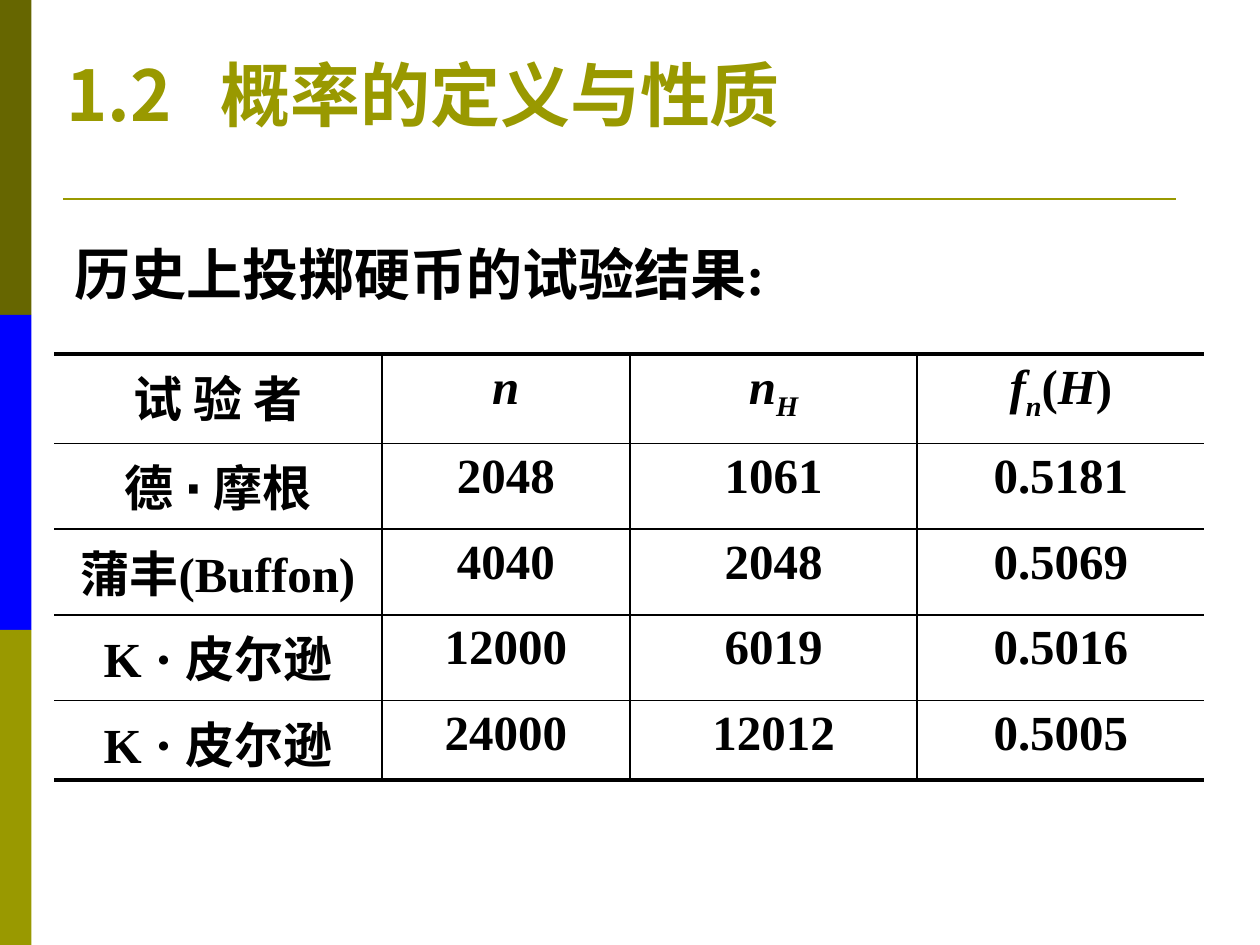
"""Build the slide on the historical coin-tossing experiments."""
from dataclasses import dataclass

from lxml.etree import SubElement
from pptx import Presentation
from pptx.dml.color import RGBColor as RGB
from pptx.enum.shapes import MSO_CONNECTOR as Connector, MSO_SHAPE as Shape
from pptx.enum.text import MSO_ANCHOR as Anchor, PP_ALIGN as Align
from pptx.oxml import parse_xml
from pptx.oxml.ns import nsdecls, qn
from pptx.util import Inches, Pt


@dataclass(frozen=True)
class Theme:
    olive: str = "999900"
    dark_olive: str = "666600"
    blue: str = "0000FF"
    ink: str = "000000"
    serif: str = "Times New Roman"
    cjk: str = "Noto Sans CJK SC"
    title: int = 40
    lead: int = 32
    body: int = 28
    thick: float = 2.25
    thin: float = 1


THEME = Theme()
TITLE = "1.2\t概率的定义与性质"
LEAD = "历史上投掷硬币的试验结果:"
ITALIC, SUB = {"italic": True}, {"italic": True, "sub": True}
HEADER = [
    [("试 验 者", {})],
    [("n", ITALIC)],
    [("n", ITALIC), ("H", SUB)],
    [("f", ITALIC), ("n", SUB), ("(", {}), ("H", ITALIC), (")", {})],
]
TRIALS = [
    ("德 ⋅ 摩根", "2048", "1061", "0.5181"),
    ("蒲丰(Buffon)", "4040", "2048", "0.5069"),
    ("K ⋅ 皮尔逊", "12000", "6019", "0.5016"),
    ("K ⋅ 皮尔逊", "24000", "12012", "0.5005"),
]
COLUMN_WIDTHS = [2.6, 1.97, 2.28, 2.28]
ROW_HEIGHTS = [0.71, 0.68, 0.68, 0.68, 0.63]
STRIPES = [THEME.dark_olive, THEME.blue, THEME.olive]


def add_run(paragraph, text, size, color=THEME.ink, latin=THEME.serif, italic=False, sub=False):
    run = paragraph.add_run()
    run.text = text
    font = run.font
    font.size, font.bold, font.italic, font.name = Pt(size), True, italic, latin
    font.color.rgb = RGB.from_string(color)
    properties = run._r.get_or_add_rPr()
    SubElement(properties, qn("a:ea")).set("typeface", THEME.cjk)
    if sub:
        properties.set("baseline", "-25000")


def place(box, left, top, width, height):
    box.left, box.top, box.width, box.height = map(Inches, (left, top, width, height))
    frame = box.text_frame
    frame.word_wrap, frame.vertical_anchor = True, Anchor.TOP
    paragraph = frame.paragraphs[0]
    paragraph.alignment = Align.LEFT
    return paragraph


def set_borders(cell, widths):
    properties = cell._tc.get_or_add_tcPr()
    for position, (side, width) in enumerate(zip("LRTB", widths)):
        paint = f'<a:solidFill><a:srgbClr val="{THEME.ink}"/></a:solidFill>' if width else "<a:noFill/>"
        properties.insert(position, parse_xml(
            f'<a:ln{side} {nsdecls("a")} w="{Pt(width)}">{paint}</a:ln{side}>'))


def add_decoration(slide):
    stripe_height = 7.5 / len(STRIPES)
    for index, color in enumerate(STRIPES):
        stripe = slide.shapes.add_shape(
            Shape.RECTANGLE, 0, Inches(index * stripe_height), Inches(0.25), Inches(stripe_height))
        stripe.shadow.inherit = False
        stripe.fill.solid()
        stripe.fill.fore_color.rgb = RGB.from_string(color)
        stripe.line.fill.background()
    rule = slide.shapes.add_connector(
        Connector.STRAIGHT, Inches(0.5), Inches(1.58), Inches(9.33), Inches(1.58))
    rule.line.color.rgb = RGB.from_string(THEME.olive)
    rule.line.width = Pt(1.5)
    SubElement(rule._element.spPr, qn("a:effectLst"))


def add_title(slide):
    heading = place(slide.shapes.title, 0.43, 0.36, 6.62, 0.77)
    tabs = SubElement(heading._p.get_or_add_pPr(), qn("a:tabLst"))
    SubElement(tabs, qn("a:tab"), pos=str(Inches(1.22)), algn="l")
    add_run(heading, TITLE, THEME.title, THEME.olive, THEME.cjk)


def add_results(slide):
    rows = [HEADER] + [[[(value, {})] for value in trial] for trial in TRIALS]
    last_row, last_column = len(rows) - 1, len(COLUMN_WIDTHS) - 1
    results = slide.shapes.add_table(
        len(rows), len(COLUMN_WIDTHS), Inches(0.43), Inches(2.81),
        Inches(sum(COLUMN_WIDTHS)), Inches(sum(ROW_HEIGHTS))).table
    results.first_row = results.horz_banding = False
    for column, width in zip(results.columns, COLUMN_WIDTHS):
        column.width = Inches(width)
    for r, (row, height) in enumerate(zip(rows, ROW_HEIGHTS)):
        results.rows[r].height = Inches(height)
        for c, runs in enumerate(row):
            cell = results.cell(r, c)
            cell.fill.background()
            cell.margin_bottom = Inches(0.01)
            set_borders(cell, (
                THEME.thin if c else 0,
                THEME.thin if c < last_column else 0,
                THEME.thin if r else THEME.thick,
                THEME.thin if r < last_row else THEME.thick))
            paragraph = cell.text_frame.paragraphs[0]
            paragraph.alignment = Align.CENTER
            for text, style in runs:
                add_run(paragraph, text, THEME.body, **style)


def main():
    deck = Presentation()
    deck.slide_width, deck.slide_height = Inches(10), Inches(7.5)
    slide = deck.slides.add_slide(deck.slide_layouts[5])
    add_decoration(slide)
    add_title(slide)
    add_results(slide)
    lead = place(slide.shapes.add_textbox(0, 0, 0, 0), 0.49, 1.85, 6.06, 0.64)
    add_run(lead, LEAD, THEME.lead)
    deck.save("out.pptx")


if __name__ == "__main__":
    main()
